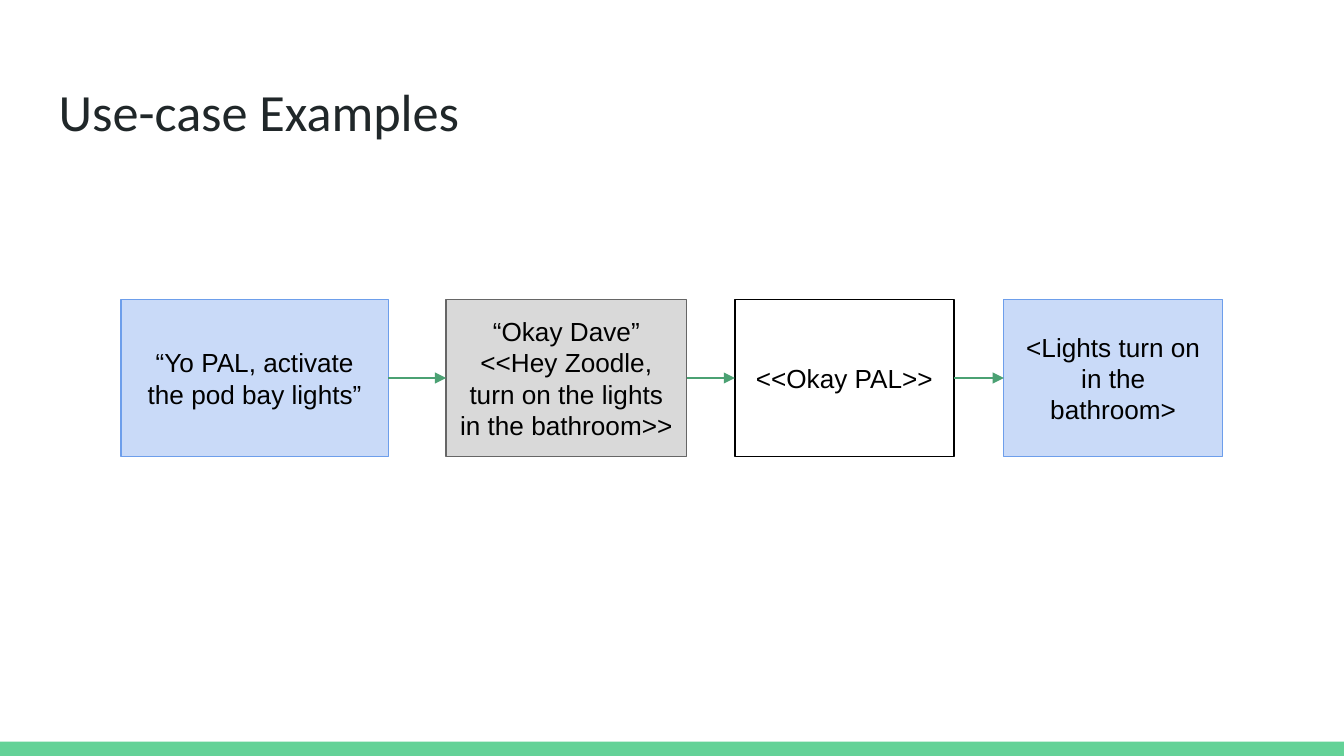
from itertools import pairwise

from lxml.etree import SubElement
from pptx import Presentation
from pptx.dml.color import RGBColor
from pptx.enum.shapes import MSO_CONNECTOR, MSO_SHAPE
from pptx.enum.text import MSO_ANCHOR, PP_ALIGN
from pptx.oxml.ns import qn
from pptx.util import Cm, Pt

COLORS = {
    "bar": "63D297", "title": "202729", "text": "000000", "arrow": "4BA173",
    "blue": "C9DAF8", "blue_line": "6D9EEB",
    "grey": "D9D9D9", "grey_line": "666666", "black_line": "000000",
}
STEPS = [
    (2.29, 5.05, "blue", "blue_line", ["“Yo PAL, activate the pod bay lights”"]),
    (8.43, 4.55, "grey", "grey_line",
     ["“Okay Dave”", "<<Hey Zoodle, turn on the lights in the bathroom>>"]),
    (13.89, 4.14, None, "black_line", ["<<Okay PAL>>"]),
    (18.97, 4.14, "blue", "blue_line", ["<Lights turn on in the bathroom>"]),
]


def color(name):
    """Return the named colour."""
    return RGBColor.from_string(COLORS[name])


def write(tf, lines, size, font, ink, align, anchor):
    """Fill a text frame with one paragraph per line."""
    tf.word_wrap = True
    tf.vertical_anchor = anchor
    tf.margin_left = tf.margin_right = tf.margin_top = tf.margin_bottom = Cm(0.25)
    for i, line in enumerate(lines):
        p = tf.add_paragraph() if i else tf.paragraphs[0]
        p.alignment = align
        r = p.add_run()
        r.text = line
        r.font.size = Pt(size)
        r.font.name = font
        r.font.color.rgb = color(ink)


def add_rect(s, left, top, width, height, fill, line):
    """Add a flat rectangle, with no fill or no line where none is named."""
    sp = s.shapes.add_shape(MSO_SHAPE.RECTANGLE, Cm(left), Cm(top), Cm(width), Cm(height))
    sp.shadow.inherit = False
    if fill:
        sp.fill.solid()
        sp.fill.fore_color.rgb = color(fill)
    else:
        sp.fill.background()
    if line:
        sp.line.color.rgb = color(line)
        sp.line.width = Pt(0.75)
    else:
        sp.line.fill.background()
    return sp


def add_arrow(s, start, end):
    """Join the right side of one box to the left side of the next."""
    c = s.shapes.add_connector(MSO_CONNECTOR.STRAIGHT, 0, 0, 0, 0)
    c.begin_connect(start, 3)
    c.end_connect(end, 1)
    c.line.color.rgb = color("arrow")
    c.line.width = Pt(0.75)
    SubElement(c.line._get_or_add_ln(), qn("a:tailEnd"), type="triangle")
    SubElement(c._element.spPr, qn("a:effectLst"))


def add_title(s, left, top, width, height, text):
    """Move and format the title placeholder."""
    sp = s.shapes.title
    sp.left, sp.top, sp.width, sp.height = Cm(left), Cm(top), Cm(width), Cm(height)
    write(sp.text_frame, [text], 28, "Calibri", "title", PP_ALIGN.LEFT, MSO_ANCHOR.TOP)


def add_flow(s, top, height, steps):
    """Draw a row of step boxes linked by arrows."""
    boxes = []
    for left, width, fill, line, lines in steps:
        sp = add_rect(s, left, top, width, height, fill, line)
        write(sp.text_frame, lines, 14, "Arial", "text", PP_ALIGN.CENTER, MSO_ANCHOR.MIDDLE)
        boxes.append(sp)
    for start, end in pairwise(boxes):
        add_arrow(s, start, end)


def main():
    """Build and save the slide."""
    prs = Presentation()
    prs.slide_width, prs.slide_height = Cm(25.4), Cm(14.29)
    s = prs.slides.add_slide(prs.slide_layouts[5])
    add_rect(s, 0, 14.02, 25.4, 0.27, "bar", None)
    add_title(s, 0.86, 1.24, 23.67, 1.6, "Use-case Examples")
    add_flow(s, 5.66, 2.97, STEPS)
    prs.save("out.pptx")


if __name__ == "__main__":
    main()
